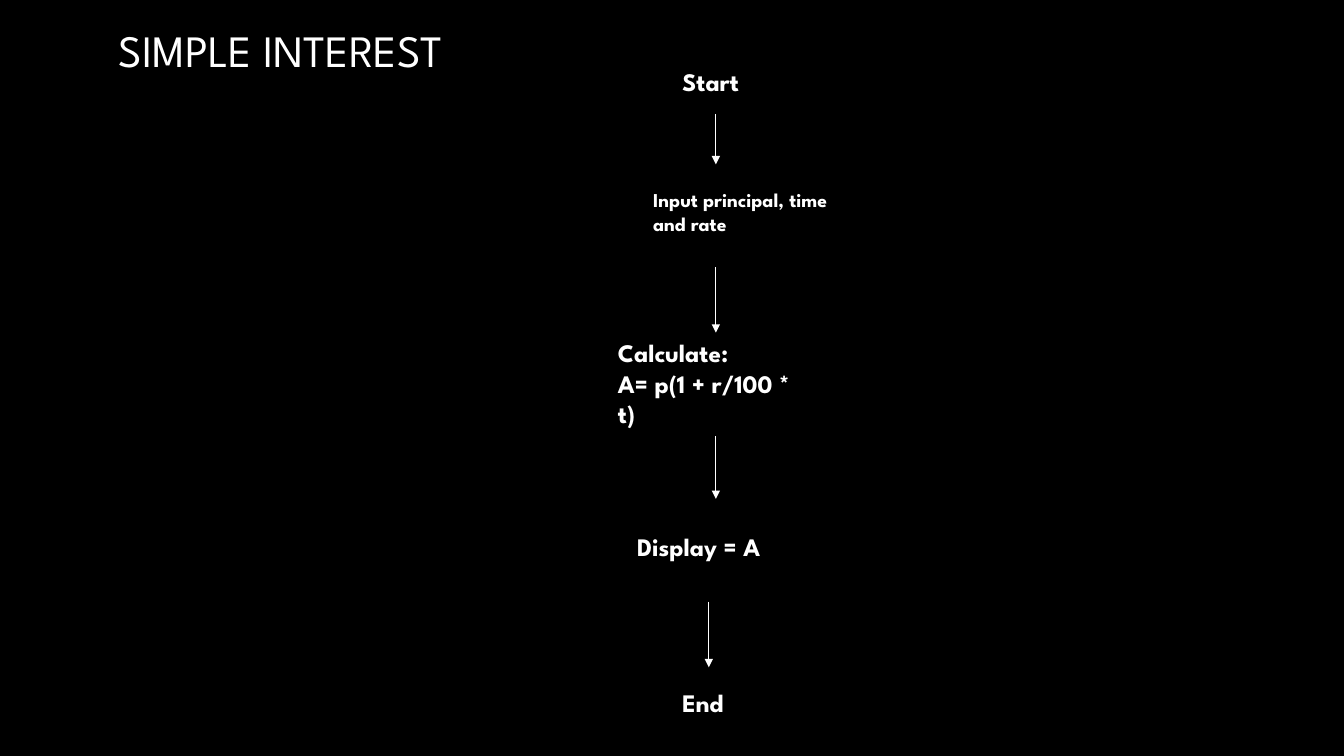
from pptx import Presentation
from pptx.dml.color import RGBColor
from pptx.enum.shapes import MSO_CONNECTOR
from pptx.enum.text import MSO_ANCHOR, MSO_AUTO_SIZE, PP_ALIGN
from pptx.oxml.ns import qn
from pptx.util import Inches, Pt
from lxml import etree

BLACK = RGBColor(0x00, 0x00, 0x00)
WHITE = RGBColor(0xFF, 0xFF, 0xFF)
GREY = RGBColor(0xA6, 0xA6, 0xA6)
FONT = "League Spartan"


def write_text(paragraph, text, size=18, bold=True, color=WHITE):
    paragraph.alignment = PP_ALIGN.LEFT
    run = paragraph.add_run()
    run.text = text
    run.font.name = FONT
    run.font.size = Pt(size)
    run.font.bold = bold
    run.font.color.rgb = color
    return run


presentation = Presentation()
presentation.slide_width = Inches(13.33)
presentation.slide_height = Inches(7.5)
slide = presentation.slides.add_slide(presentation.slide_layouts[5])
slide.background.fill.solid()
slide.background.fill.fore_color.rgb = BLACK

# Title with a white-to-grey gradient
title = slide.shapes.title
title.left, title.top = Inches(1.08), Inches(-0.91)
title.width, title.height = Inches(14.62), Inches(2.81)
title.text_frame.vertical_anchor = MSO_ANCHOR.MIDDLE
title_run = write_text(title.text_frame.paragraphs[0], "SIMPLE INTEREST",
                       size=32, bold=False)
title_fill = title_run.font.fill
title_fill.gradient()
title_fill.gradient_angle = 267
for stop, color, position in zip(title_fill.gradient_stops, (WHITE, GREY), (0, 1)):
    stop.color.rgb = color
    stop.position = position

# Flowchart steps: left, top, height, text size, lines
steps = [
    (6.67, 0.61, 0.4, 18, ["Start"]),
    (6.38, 1.82, 0.57, 14, ["Input principal, time and rate"]),
    (6.03, 3.3, 1.01, 18, ["Calculate:", "A= p(1 + r/100 * t)"]),
    (6.22, 5.22, 0.4, 18, ["Display = A"]),
    (6.67, 6.77, 0.4, 18, ["End"]),
]
for left, top, height, size, lines in steps:
    box = slide.shapes.add_textbox(Inches(left), Inches(top), Inches(2), Inches(height))
    frame = box.text_frame
    frame.word_wrap = True
    frame.auto_size = MSO_AUTO_SIZE.SHAPE_TO_FIT_TEXT
    for index, line in enumerate(lines):
        paragraph = frame.add_paragraph() if index else frame.paragraphs[0]
        write_text(paragraph, line, size=size)

# Arrows between the steps: x, top, bottom
arrows = [(7.1, 1.13, 1.63), (7.1, 2.65, 3.3), (7.1, 4.33, 4.95), (7.03, 5.97, 6.62)]
for x, top, bottom in arrows:
    arrow = slide.shapes.add_connector(MSO_CONNECTOR.STRAIGHT, Inches(x), Inches(top),
                                       Inches(x), Inches(bottom))
    arrow.line.color.rgb = WHITE
    arrow.line.width = Pt(0.75)
    etree.SubElement(arrow.line._get_or_add_ln(), qn("a:tailEnd"), type="triangle")
    etree.SubElement(arrow._element.spPr, qn("a:effectLst"))

presentation.save("out.pptx")
